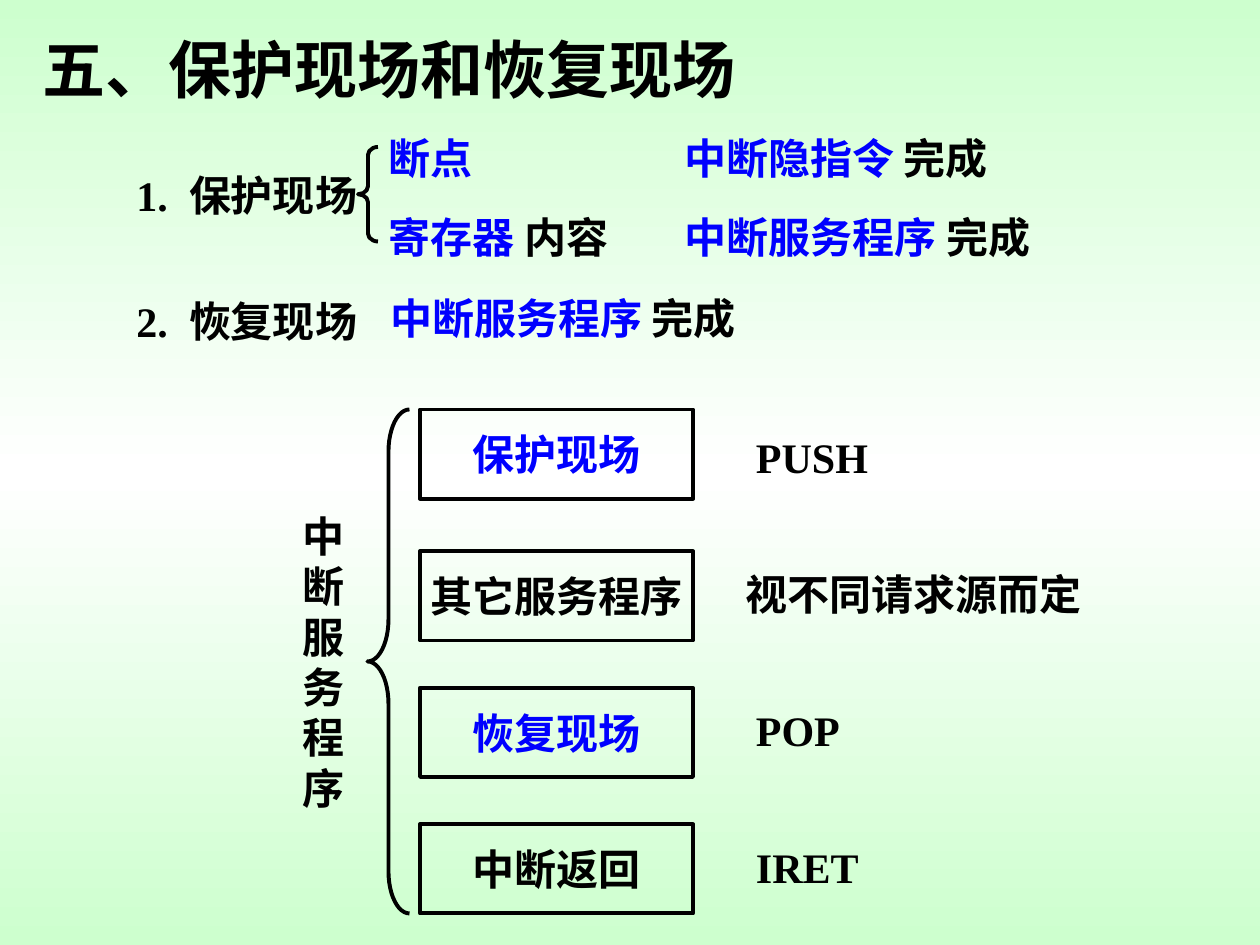
from copy import deepcopy

from pptx import Presentation
from pptx.dml.color import RGBColor
from pptx.enum.shapes import MSO_SHAPE
from pptx.enum.text import MSO_ANCHOR, MSO_AUTO_SIZE, PP_ALIGN
from pptx.oxml.ns import qn
from pptx.util import Inches, Pt

COLORS = {"black": "000000", "blue": "0000FF", "green": "CDFFCE", "white": "FFFFFF"}
FONT = "Times New Roman"

prs = Presentation()
prs.slide_width, prs.slide_height = Inches(10), Inches(7.5)
s = prs.slides.add_slide(prs.slide_layouts[5])


def grid(*cells):
    """Lengths on a grid of 120 columns by 90 rows."""
    return [round(c * prs.slide_width / 120) for c in cells]


def write(sp, *paragraphs, size=24, align=PP_ALIGN.LEFT, inset=0, wrap=True):
    """Each paragraph is a list of (text, colour, letter spacing in points)."""
    tf = sp.text_frame
    tf.auto_size = MSO_AUTO_SIZE.NONE
    tf.word_wrap = wrap
    tf.vertical_anchor = MSO_ANCHOR.MIDDLE
    tf.margin_left = tf.margin_right = Inches(inset)
    tf.margin_top = tf.margin_bottom = Inches(0.05)
    for i, runs in enumerate(paragraphs):
        p = tf.paragraphs[0] if i == 0 else tf.add_paragraph()
        p.alignment = align
        for text, color, spacing in runs:
            r = p.add_run()
            r.text = text
            r.font.size, r.font.bold, r.font.name = Pt(size), True, FONT
            r.font.color.rgb = RGBColor.from_string(COLORS[color])
            if spacing:
                r._r.get_or_add_rPr().set("spc", str(spacing * 100))


# Background: green, white in the middle, green
fill = s.background.fill
fill.gradient()
fill.gradient_angle = 90
stops = s._element.find(".//" + qn("a:gsLst"))
stops.insert(1, deepcopy(stops[0]))
for stop, color, position in zip(fill.gradient_stops, ("green", "white", "green"), (0, 0.5, 1)):
    stop.color.rgb = RGBColor.from_string(COLORS[color])
    stop.position = position

# Title
title = s.shapes.title
title.left, title.top, title.width, title.height = grid(4, 3, 83, 7)
write(title, [("五、保护现场和恢复现场", "black", 0)], size=36)

# Numbered items
for number, item, top in (("1.", "保护现场", 15), ("2.", "恢复现场", 27)):
    sp = s.shapes.add_textbox(*grid(13, top, 24, 7))
    write(sp, [(number, "black", 0), (" ", "black", 6), (item, "black", 0)])

# What is saved, and who does it: blue part, black part, place, inset
for blue, black, cells, inset in (
    ("断点", "", (37, 12, 13, 6), 0),
    ("寄存器 ", "内容", (37, 19, 26, 7), 0),
    ("中断隐指令 ", "完成", (64, 12, 43, 6), 0.1),
    ("中断服务程序 ", "完成", (65.2, 19, 50, 7), 0),
    ("中断服务程序 ", "完成", (36, 27.25, 40, 6), 0.1),
):
    runs = [(blue, "blue", 0)]
    if black:
        runs.append((black, "black", 0))
    write(s.shapes.add_textbox(*grid(*cells)), runs, inset=inset)

# Braces
for cells, curve in (((34.1, 14, 1.9, 9), 0.4), ((35, 39, 4, 48), 1)):
    sp = s.shapes.add_shape(MSO_SHAPE.LEFT_BRACE, *grid(*cells))
    sp.adjustments[0] = curve
    sp.shadow.inherit = False
    sp.fill.background()
    sp.line.color.rgb = RGBColor.from_string(COLORS["black"])
    sp.line.width = Pt(2.25)

# Service routine: name set vertically
sp = s.shapes.add_textbox(*grid(27.6, 48, 6.4, 30))
write(sp, *[[(char, "black", 0)] for char in "中断服务程序"], inset=0.1)

# Service routine: steps and their instructions
for step, color, top, label, left, label_top, width in (
    ("保护现场", "blue", 39, "PUSH", 72, 40, 25),
    ("其它服务程序", "black", 52.5, "视不同请求源而定", 71, 53, 34),
    ("恢复现场", "blue", 65.5, "POP", 72, 66, 25),
    ("中断返回", "black", 78.5, "IRET", 72, 79, 25),
):
    sp = s.shapes.add_shape(MSO_SHAPE.RECTANGLE, *grid(40, top, 26, 8.5))
    sp.shadow.inherit = False
    sp.fill.background()
    sp.line.color.rgb = RGBColor.from_string(COLORS["black"])
    sp.line.width = Pt(2.25)
    write(sp, [(step, color, 0)], align=PP_ALIGN.CENTER)
    write(s.shapes.add_textbox(*grid(left, label_top, width, 7)), [(label, "black", 0)])

prs.save("out.pptx")
